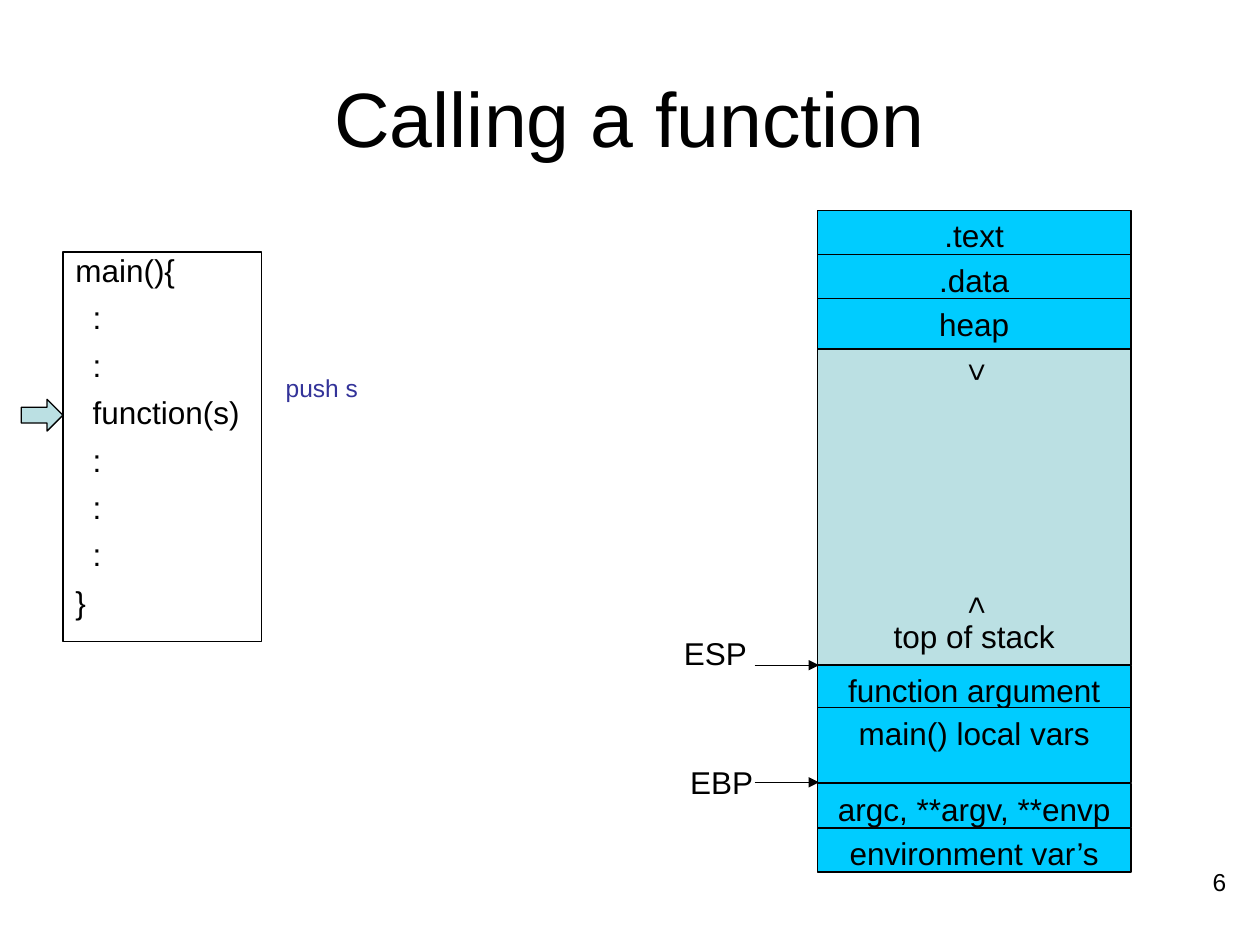
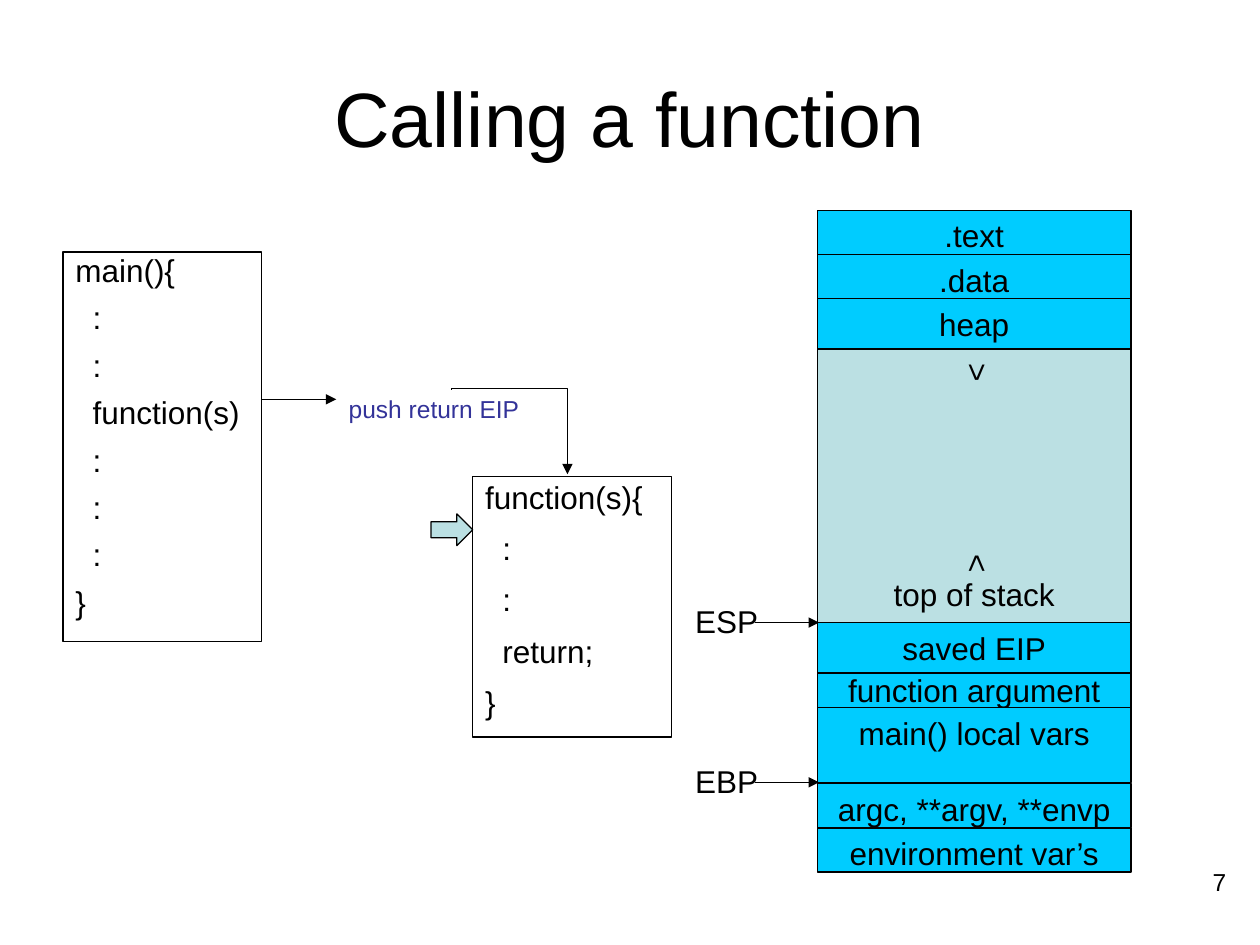
from dataclasses import dataclass

from pptx import Presentation
from pptx import util as u
from pptx.dml import color
from pptx.enum import shapes, text
from pptx.oxml import ns, xmlchemy
from lxml import etree


@dataclass(frozen=True)
class Theme:
    font: str = "Arial"
    ink: str = "000000"
    note: str = "333399"
    used: str = "00CCFF"
    free: str = "BBE0E3"
    title_size: int = 44
    body_size: int = 18
    small_size: int = 14
    line_width: float = 0.75
    paragraph_gap: float = 9.8


THEME = Theme()
ROW, LOW_ROW = 1.02, 0.89      # memory row heights, cm
ROW_STEP = 0.89
LOCALS_TOP, FRAME_BASE = 10.03, 11.53
CENTER, LEFT, RIGHT = (text.PP_ALIGN.CENTER, text.PP_ALIGN.LEFT,
                       text.PP_ALIGN.RIGHT)


def rgb(code):
    return color.RGBColor.from_string(code)


def cm(*lengths):
    return [u.Cm(length) for length in lengths]


def write(shape, lines, size=THEME.body_size, ink=THEME.ink, align=CENTER,
          spacing=None, wrap=True, anchor=text.MSO_ANCHOR.TOP):
    frame = shape.text_frame
    frame.text = "\n".join(lines)
    frame.word_wrap = wrap
    frame.vertical_anchor = anchor
    for index, paragraph in enumerate(frame.paragraphs):
        paragraph.alignment = align
        paragraph.line_spacing = spacing
        paragraph.space_before = u.Pt(THEME.paragraph_gap if index else 0)
        for run in paragraph.runs:
            run.font.name = THEME.font
            run.font.size = u.Pt(size)
            run.font.color.rgb = rgb(ink)


def label(slide, box, words, **style):
    note = slide.shapes.add_textbox(*cm(*box))
    write(note, [words], **style)
    return note


def block(slide, box, fill=None, kind=shapes.MSO_SHAPE.RECTANGLE):
    shape = slide.shapes.add_shape(kind, *cm(*box))
    shape.shadow.inherit = False
    if fill:
        shape.fill.solid()
        shape.fill.fore_color.rgb = rgb(fill)
    else:
        shape.fill.background()
    shape.line.color.rgb = rgb(THEME.ink)
    shape.line.width = u.Pt(THEME.line_width)
    return shape


def arrow(slide, start, end, kind=shapes.MSO_CONNECTOR.STRAIGHT):
    connector = slide.shapes.add_connector(kind, *cm(*start, *end))
    connector.line.color.rgb = rgb(THEME.ink)
    connector.line.width = u.Pt(THEME.line_width)
    outline = connector.line._get_or_add_ln()
    etree.SubElement(outline, ns.qn("a:tailEnd"), type="triangle")
    etree.SubElement(connector._element.spPr, ns.qn("a:effectLst"))
    return connector


def call_arrow(slide, left, top, width, height):
    """Elbow that runs right along the top of the box, then down its side."""
    # A quarter turn about the centre swaps the width and the height
    x, y = left + width / 2, top + height / 2
    elbow = arrow(slide, (x - height / 2, y + width / 2),
                  (x + height / 2, y - width / 2), shapes.MSO_CONNECTOR.ELBOW)
    properties = elbow._element.spPr
    properties.find(ns.qn("a:xfrm")).set("rot", "5400000")
    geometry = properties.find(ns.qn("a:prstGeom"))
    guides = geometry.find(ns.qn("a:avLst"))
    if guides is None:
        guides = etree.SubElement(geometry, ns.qn("a:avLst"))
    etree.SubElement(guides, ns.qn("a:gd"), name="adj1", fmla="val -200")


def code_box(slide, box, lines, spacing, marker=None):
    """Listing whose inner lines are indented, with an optional step marker."""
    listing = block(slide, box)
    write(listing, lines, align=LEFT, spacing=spacing)
    for paragraph in listing.text_frame.paragraphs[1:-1]:
        paragraph._p.get_or_add_pPr().set("marL", str(u.Cm(0.35)))
    if marker is not None:
        left, top = box[:2]
        block(slide, (left - 0.84, top + marker, 0.84, 0.64), THEME.free,
              shapes.MSO_SHAPE.RIGHT_ARROW)


def instruction(slide, box, words):
    label(slide, box, words, size=THEME.small_size, ink=THEME.note,
          align=LEFT, spacing=0.3)


def memory_map(slide, left, top, width, stack_top, stack_rows, pointers):
    """Memory column; stack_rows are (offset, words), drawn in that order."""
    def row(offset, height, words):
        write(block(slide, (left, top + offset, width, height), THEME.used),
              [words])

    def growth(offset, sign):
        mark = label(slide, (left + 2.49, top + offset, 1.27, 0.89), sign,
                     align=LEFT)
        mark.text_frame._txBody.bodyPr.set("vert", "eaVert")

    # Free space, then the segments above it
    free_top = 2.67
    block(slide, (left, top + free_top, width, stack_top - free_top),
          THEME.free)
    for index, segment in enumerate((".text", ".data", "heap")):
        row(index * ROW_STEP, ROW, segment)
    growth(2.84, ">")
    growth(stack_top - 1.63, "<")
    label(slide, (left, top + stack_top - 1.09, width, ROW), "top of stack")

    # Stack contents
    for offset, words in stack_rows:
        row(offset, ROW, words)
    row(LOCALS_TOP, 1.5, "main() local vars")
    for index, words in enumerate(("argc, **argv, **envp",
                                   "environment var\u2019s")):
        row(11.56 + index * ROW_STEP, LOW_ROW, words)

    # Registers pointing into the stack
    for name, offset, shift_x, shift_y in pointers:
        y = top + offset
        label(slide, (left + shift_x, y + shift_y, 1.78, ROW), name,
              wrap=False)
        arrow(slide, (left - 1.27, y), (left + 0.03, y))


def base_slide(deck, number):
    slide = deck.slides.add_slide(deck.slide_layouts[5])
    title = slide.shapes.title
    title.left, title.top, title.width, title.height = cm(1.27, 0.76,
                                                          22.86, 3.18)
    write(title, ["Calling a function"], size=THEME.title_size,
          anchor=text.MSO_ANCHOR.MIDDLE)
    label(slide, (19.05, 17.35, 5.92, 1.32), str(number),
          size=THEME.small_size, align=RIGHT)
    return slide


MAIN_BOX = (1.27, 5.08, 4.01, 7.85)
MAIN_CODE = ["main(){", ":", ":", "function(s)", ":", ":", ":", "}"]
FUNCTION_BOX = (9.53, 9.6, 4.01, 5.26)
FUNCTION_CODE = ["function(s){", ":", ":", "return;", "}"]
MEMORY_BOX = (16.48, 4.24, 6.32)
ARGUMENT_TOP, SAVED_EIP_TOP = 9.17, 8.31
ARGUMENT = (ARGUMENT_TOP, "function argument")


def push_argument_slide(deck):
    slide = base_slide(deck, 6)
    code_box(slide, MAIN_BOX, MAIN_CODE, 0.8, marker=2.97)
    instruction(slide, (5.51, 7.75, 2.74, 0.51), "push s")
    memory_map(slide, *MEMORY_BOX, ARGUMENT_TOP, [ARGUMENT],
               [("ESP", ARGUMENT_TOP, -2.95, -0.76),
                ("EBP", FRAME_BASE, -2.82, -0.51)])


def push_return_slide(deck):
    slide = base_slide(deck, 7)
    code_box(slide, MAIN_BOX, MAIN_CODE, 0.8)
    code_box(slide, FUNCTION_BOX, FUNCTION_CODE, 0.9, marker=0.76)
    arrow(slide, (5.28, 8.05), (6.78, 8.05))
    instruction(slide, (6.78, 8.18, 4.45, 0.51), "push return EIP")
    call_arrow(slide, 9.1, 7.84, 2.34, 1.72)
    memory_map(slide, *MEMORY_BOX, SAVED_EIP_TOP,
               [ARGUMENT, (SAVED_EIP_TOP, "saved EIP")],
               [("ESP", SAVED_EIP_TOP, -2.72, -0.53),
                ("EBP", FRAME_BASE, -2.72, -0.53)])


presentation = Presentation()
presentation.slide_width, presentation.slide_height = cm(25.4, 19.05)
push_argument_slide(presentation)
push_return_slide(presentation)
presentation.save("out.pptx")
